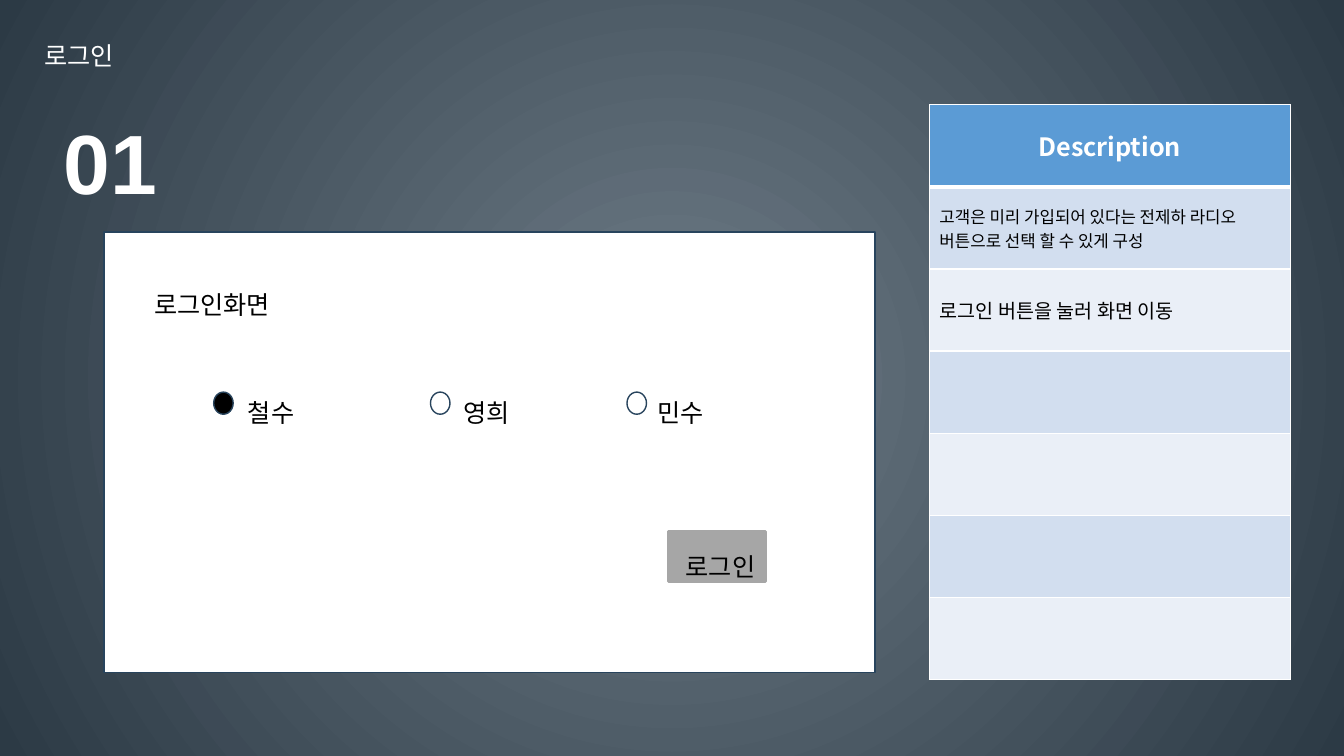
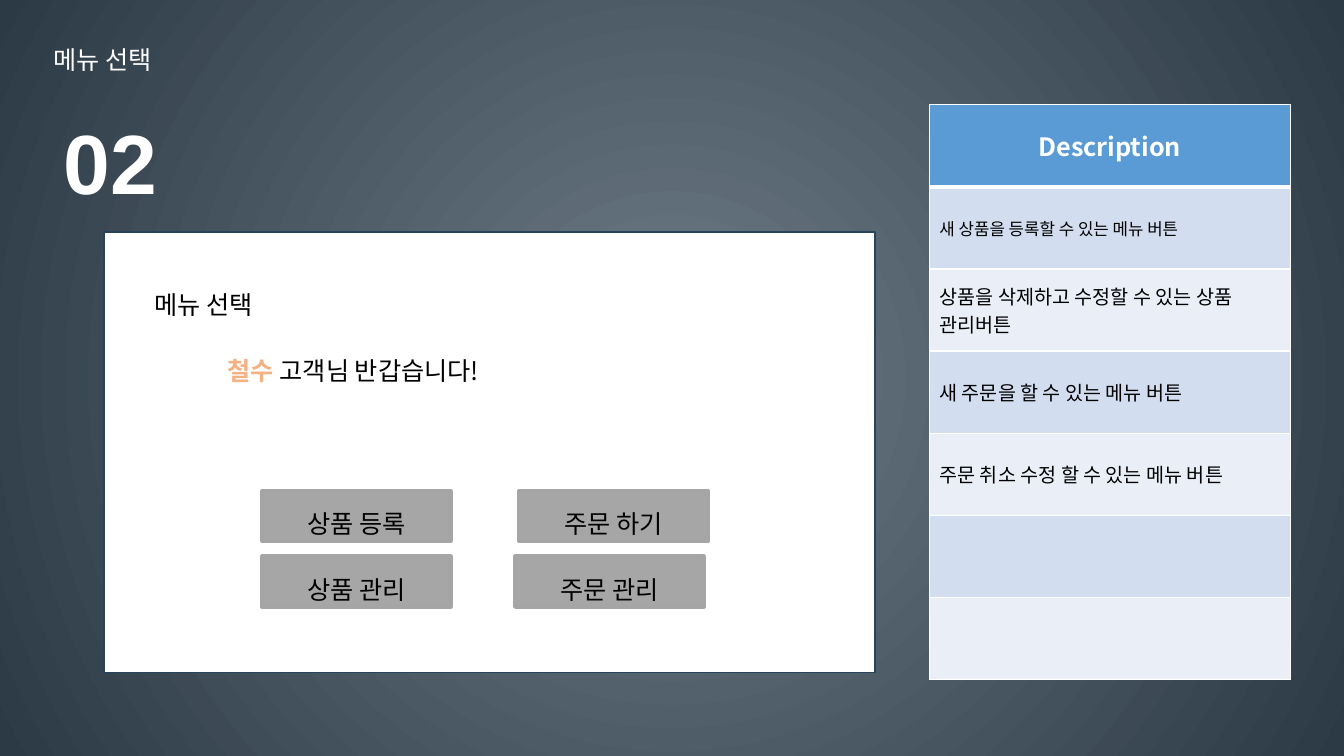
from dataclasses import dataclass, field, replace
from typing import NamedTuple

from lxml.etree import SubElement
from pptx import Presentation
from pptx.dml.color import RGBColor as Color
from pptx.enum.shapes import MSO_SHAPE as Preset
from pptx.enum.text import MSO_ANCHOR as Anchor, MSO_AUTO_SIZE as AutoSize, PP_ALIGN as Align
from pptx.oxml.ns import qn
from pptx.util import Emu, Inches, Pt

SLIDE_WIDTH, SLIDE_HEIGHT = Inches(13.33), Inches(7.5)


@dataclass(frozen=True)
class Theme:
    glow: str = "6E7C87"
    edge: str = "2C3A45"
    white: str = "FFFFFF"
    black: str = "000000"
    outline: str = "28445D"
    button: str = "A6A6A6"
    button_line: str = "A5A5A5"
    accent: str = "F4B183"
    table_header: str = "5B9BD5"
    table_bands: tuple = ("D2DEEF", "EAEFF7")
    font: str = "Noto Sans CJK KR"
    number_font: str = "Arial"
    number_size: float = 60
    body_size: float = 18
    cell_size: float = 14
    small_cell_size: float = 12


THEME = Theme()


@dataclass(frozen=True)
class TextStyle:
    color: str = THEME.black
    size: float = THEME.body_size
    font: str = THEME.font
    bold: bool = False
    align: Align = Align.LEFT
    spacing: float = 1.5


BODY = TextStyle()
TITLE = replace(BODY, color=THEME.white)
NUMBER = replace(TITLE, size=THEME.number_size, font=THEME.number_font, bold=True)
CELL = replace(BODY, size=THEME.cell_size, spacing=1.0)
SMALL_CELL = replace(CELL, size=THEME.small_cell_size)
HEADER_CELL = replace(TITLE, bold=True, align=Align.CENTER, spacing=1.0)


class Box(NamedTuple):
    """A rectangle in percent of the slide's width and height."""
    left: float
    top: float
    width: float
    height: float

    def lengths(self) -> tuple:
        sides = (SLIDE_WIDTH, SLIDE_HEIGHT) * 2
        return tuple(Emu(round(side * share / 100)) for side, share in zip(sides, self))


class Line(NamedTuple):
    color: str
    width: float


class Radio(NamedTuple):
    name: str
    left: float
    label_left: float
    fill: str = THEME.white


@dataclass(frozen=True)
class Button:
    text: str
    box: Box
    line: Line = Line(THEME.button_line, 3)
    align: Align = Align.CENTER
    anchor: Anchor = Anchor.MIDDLE


@dataclass(frozen=True)
class Screen:
    number: str
    title: str
    title_corner: tuple
    heading: str
    descriptions: tuple
    buttons: tuple
    radios: tuple = ()
    greeting: tuple = field(default=())


LINE_HEIGHT = 6.67
NUMBER_BOX = Box(3.98, 7.33, 8.85, 18.93)
PANEL_BOX = Box(7.73, 30.67, 57.38, 58.27)
HEADING_BOX = Box(10.73, 35.6, 66, LINE_HEIGHT)
GREETING_BOX = Box(16.2, 44.4, 39.45, LINE_HEIGHT)
TABLE_BOX = Box(69.15, 13.87, 26.85, 76)
TABLE_ROWS = 7
RADIO_TOP, RADIO_LABEL_TOP = 51.87, 49.87
MENU_ROWS = (64.93, 73.6)
THIN = Line(THEME.outline, 1)


def menu_button(text: str, left: float, row: int) -> Button:
    return Button(text, Box(left, MENU_ROWS[row], 14.03, LINE_HEIGHT))


SCREENS = (
    Screen(
        "01", "로그인", (2.55, 2.67), "로그인화면",
        ("고객은 미리 가입되어 있다는 전제하 라디오 버튼으로 선택 할 수 있게 구성",
         "로그인 버튼을 눌러 화면 이동"),
        buttons=(Button("로그인", Box(49.73, 70.27, 7.2, LINE_HEIGHT),
                        Line(THEME.button, 2.25), Align.RIGHT, Anchor.TOP),),
        radios=(Radio("철수", 15.9, 17.7, THEME.black),
                Radio("영희", 32.03, 33.75),
                Radio("민수", 46.65, 48.15)),
    ),
    Screen(
        "02", "메뉴 선택", (3.23, 3.2), "메뉴 선택",
        ("새 상품을 등록할 수 있는 메뉴 버튼",
         "상품을 삭제하고 수정할 수 있는 상품 관리버튼",
         "새 주문을 할 수 있는 메뉴 버튼",
         "주문 취소 수정 할 수 있는 메뉴 버튼"),
        buttons=(menu_button("상품 등록", 19.5, 0), menu_button("주문 하기", 38.63, 0),
                 menu_button("상품 관리", 19.5, 1), menu_button("주문 관리", 38.33, 1)),
        greeting=("철수", " 고객님 반갑습니다!"),
    ),
)


# Text
def write(frame, text: str, style: TextStyle):
    paragraph = frame.paragraphs[0]
    paragraph.alignment = style.align
    paragraph.line_spacing = style.spacing
    font = paragraph.font
    font.size, font.bold, font.name = Pt(style.size), style.bold, style.font
    font.color.rgb = Color.from_string(style.color)
    # East Asian letters take their typeface from a separate element
    properties = paragraph._p.pPr.find(qn("a:defRPr"))
    SubElement(properties, qn("a:ea")).set("typeface", style.font)
    if text:
        paragraph.add_run().text = text
    return paragraph


def add_text(slide, box: Box, text: str, style: TextStyle, wrap: bool = True):
    frame = slide.shapes.add_textbox(*box.lengths()).text_frame
    frame.word_wrap = wrap
    frame.auto_size = AutoSize.SHAPE_TO_FIT_TEXT
    return write(frame, text, style)


# Shapes
def add_preset(slide, preset: Preset, box: Box, fill: str, line: Line):
    shape = slide.shapes.add_shape(preset, *box.lengths())
    shape.shadow.inherit = False
    shape.fill.solid()
    shape.fill.fore_color.rgb = Color.from_string(fill)
    shape.line.color.rgb = Color.from_string(line.color)
    shape.line.width = Pt(line.width)
    return shape


def add_button(slide, button: Button) -> None:
    shape = add_preset(slide, Preset.RECTANGLE, button.box, THEME.button, button.line)
    frame = shape.text_frame
    frame.word_wrap = True
    frame.auto_size = AutoSize.SHAPE_TO_FIT_TEXT
    frame.vertical_anchor = button.anchor
    write(frame, button.text, replace(BODY, align=button.align))


def add_radio(slide, radio: Radio) -> None:
    add_preset(slide, Preset.OVAL, Box(radio.left, RADIO_TOP, 1.45, 2.93), radio.fill, THIN)
    add_text(slide, Box(radio.label_left, RADIO_LABEL_TOP, 9, LINE_HEIGHT), radio.name, BODY)


# Description table
def set_borders(cell, top: float, bottom: float) -> None:
    properties = cell._tc.get_or_add_tcPr()
    for side, width in (("L", 1), ("R", 1), ("T", top), ("B", bottom)):
        border = SubElement(properties, qn(f"a:ln{side}"), w=str(Pt(width)))
        fill = SubElement(border, qn("a:solidFill"))
        SubElement(fill, qn("a:srgbClr"), val=THEME.white)


def add_descriptions(slide, descriptions: tuple) -> None:
    table = slide.shapes.add_table(TABLE_ROWS, 1, *TABLE_BOX.lengths()).table
    texts = ("Description", *descriptions)
    for index in range(TABLE_ROWS):
        cell = table.cell(index, 0)
        set_borders(cell, top=3 if index == 1 else 1, bottom=3 if index == 0 else 1)
        cell.fill.solid()
        band = THEME.table_bands[(index - 1) % 2] if index else THEME.table_header
        cell.fill.fore_color.rgb = Color.from_string(band)
        cell.vertical_anchor = Anchor.MIDDLE
        style = (HEADER_CELL, SMALL_CELL)[index] if index < 2 else CELL
        write(cell.text_frame, texts[index] if index < len(texts) else "", style)


# Shared background
def set_background(master) -> None:
    fill = master.background.fill
    fill.gradient()
    for stop, color in zip(fill.gradient_stops, (THEME.glow, THEME.edge)):
        stop.color.rgb = Color.from_string(color)
    gradient = next(master.element.iter(qn("a:gradFill")))
    gradient.remove(gradient.find(qn("a:lin")))
    circle = SubElement(gradient, qn("a:path"))
    circle.set("path", "circle")
    SubElement(circle, qn("a:fillToRect"), dict.fromkeys("ltrb", "50000"))


def add_screen(presentation, screen: Screen) -> None:
    slide = presentation.slides.add_slide(presentation.slide_layouts[6])
    # Title, number and description
    add_text(slide, Box(*screen.title_corner, 66, LINE_HEIGHT), screen.title, TITLE)
    add_text(slide, NUMBER_BOX, screen.number, NUMBER, wrap=False)
    add_descriptions(slide, screen.descriptions)
    # Mock-up panel
    add_preset(slide, Preset.RECTANGLE, PANEL_BOX, THEME.white, THIN)
    add_text(slide, HEADING_BOX, screen.heading, BODY)
    if screen.greeting:
        customer, welcome = screen.greeting
        paragraph = add_text(slide, GREETING_BOX, customer, BODY)
        name_font = paragraph.runs[0].font
        name_font.bold = True
        name_font.color.rgb = Color.from_string(THEME.accent)
        paragraph.add_run().text = welcome
    for radio in screen.radios:
        add_radio(slide, radio)
    for button in screen.buttons:
        add_button(slide, button)


def main() -> None:
    presentation = Presentation()
    presentation.slide_width, presentation.slide_height = SLIDE_WIDTH, SLIDE_HEIGHT
    set_background(presentation.slide_master)
    for screen in SCREENS:
        add_screen(presentation, screen)
    presentation.save("out.pptx")


if __name__ == "__main__":
    main()
